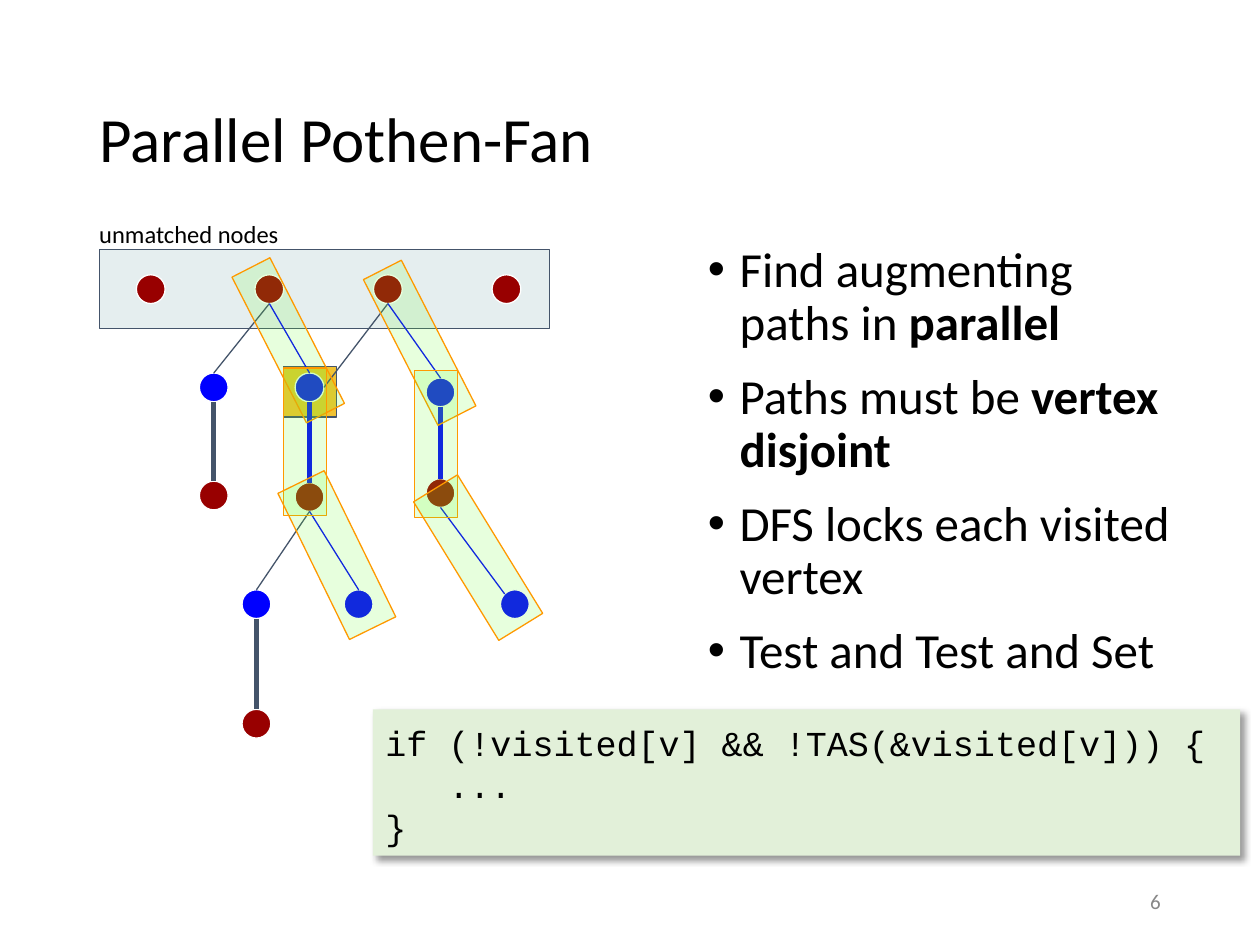
import pptx
import pptx.util
import pptx.dml.color
import pptx.enum.shapes
import pptx.enum.text
import pptx.oxml.ns
from lxml import etree

Cm, Pt = pptx.util.Cm, pptx.util.Pt
SHAPE = pptx.enum.shapes.MSO_SHAPE
ALIGN = pptx.enum.text.PP_ALIGN
ANCHOR = pptx.enum.text.MSO_ANCHOR
qn = pptx.oxml.ns.qn

# Content: lengths in cm
COLORS = {"black": "000000", "white": "FFFFFF", "slate": "44546A", "red": "980000",
          "blue": "0000FF", "gold": "F1C232", "teal": "A2C4C9", "lime": "6FFF2F",
          "orange": "FF9900", "mint": "E2F0D9", "gray": "888888"}

TITLE = "Parallel Pothen-Fan"
LABEL = "unmatched nodes"
PAGE = "6"
BULLETS = [  # (text, bold) runs
    [("Find augmenting paths in ", False), ("parallel", True)],
    [("Paths must be ", False), ("vertex disjoint", True)],
    [("DFS locks each visited vertex", False)],
    [("Test and Test and Set", False)],
]
CODE = ["if (!visited[v] && !TAS(&visited[v])) {", "\t...", "}"]

NODE_SIZE = 0.58
ROOT_X, ROOT_STEP, ROOT_Y = 3.04, 2.39, 5.83
NODES = {f"root{i}": (ROOT_X + i * ROOT_STEP, ROOT_Y, "red") for i in range(4)}
NODES.update({  # centre x, centre y, colour
    "left": (4.31, 7.81, "blue"), "shared": (6.24, 7.81, "blue"),
    "left_mate": (4.31, 9.99, "red"), "shared_mate": (6.24, 10.02, "red"),
    "end1": (7.23, 12.18, "blue"), "branch": (5.17, 12.18, "blue"),
    "branch_mate": (5.17, 14.59, "red"),
    "right": (8.88, 7.91, "blue"), "right_mate": (8.88, 9.94, "red"),
    "end2": (10.38, 12.18, "blue"),
})
SIDES = {"top": (0, -1), "bottom": (0, 1), "right": (1, 0), "top_left": (-0.71, -0.71)}
THIN, THICK = 0.75, 3
EDGES = [  # upper node, lower node, colour, width, side of the lower node
    ("root1", "left", "slate", THIN, "top"),
    ("root1", "shared", "blue", THIN, "top"),
    ("left", "left_mate", "slate", THICK, "top"),
    ("shared", "shared_mate", "blue", THICK, "top"),
    ("shared_mate", "branch", "slate", THIN, "top"),
    ("shared_mate", "end1", "blue", THIN, "top"),
    ("branch", "branch_mate", "slate", THICK, "top"),
    ("root2", "shared", "slate", THIN, "right"),
    ("root2", "right", "blue", THIN, "top"),
    ("right", "right_mate", "blue", THICK, "top"),
    ("right_mate", "end2", "blue", THIN, "top_left"),
]
PATH_BOXES = [  # left, top, width, height, rotation
    (5.38, 5.21, 0.86, 3.3, 332.9), (5.72, 7.42, 0.86, 2.97, 0),
    (6.27, 9.55, 1.04, 3.28, 333.9),
    (8.03, 5.26, 0.86, 3.3, 332.9), (8.36, 7.47, 0.86, 2.97, 0),
    (9.12, 9.6, 1.04, 3.28, 328.4),
]


def rgb(name):
    return pptx.dml.color.RGBColor.from_string(COLORS[name])


def add_box(kind, x, y, w, h, fill, line=None, alpha=None):
    s = slide.shapes.add_shape(kind, Cm(x), Cm(y), Cm(w), Cm(h))
    s.shadow.inherit = False
    s.fill.solid()
    s.fill.fore_color.rgb = rgb(fill)
    if alpha:
        color = s.fill._xPr.find(qn("a:solidFill"))[0]
        etree.SubElement(color, qn("a:alpha"), val=str(alpha * 1000))
    if line:
        s.line.color.rgb = rgb(line)
        s.line.width = Pt(0.75)
    else:
        s.line.fill.background()
    return s


def set_frame(s, anchor=ANCHOR.TOP, inset_y=0.25):
    tf = s.text_frame
    tf.word_wrap = True
    tf.vertical_anchor = anchor
    tf.margin_left = tf.margin_right = Cm(0.25)
    tf.margin_top = tf.margin_bottom = Cm(inset_y)
    return tf


def add_frame(x, y, w, h, **frame):
    return set_frame(slide.shapes.add_textbox(Cm(x), Cm(y), Cm(w), Cm(h)), **frame)


def add_paragraph(tf, runs, size, font="Calibri", color="black", align=ALIGN.LEFT):
    first = tf.paragraphs[0]
    p = tf.add_paragraph() if first.runs else first
    p.alignment = align
    for text, bold in runs:
        r = p.add_run()
        r.text = text
        r.font.size, r.font.name, r.font.bold = Pt(size), font, bold
        r.font.color.rgb = rgb(color)
    return p


def add_bullet(p):
    pPr = p._p.get_or_add_pPr()
    pPr.set("marL", str(Cm(1.27)))
    pPr.set("indent", str(-Cm(0.64)))
    color = etree.SubElement(pPr, qn("a:buClr"))
    etree.SubElement(color, qn("a:srgbClr"), val=COLORS["black"])
    etree.SubElement(pPr, qn("a:buFont"), typeface="Arial")
    etree.SubElement(pPr, qn("a:buChar"), char="•")


def add_drop_shadow(s):
    effects = s._element.spPr.find(qn("a:effectLst"))
    shadow = etree.SubElement(effects, qn("a:outerShdw"), blurRad=str(Pt(4)),
                              dist=str(Pt(3)), dir=str(45 * 60000),
                              algn="tl", rotWithShape="0")
    color = etree.SubElement(shadow, qn("a:srgbClr"), val=COLORS["black"])
    etree.SubElement(color, qn("a:alpha"), val="40000")


def node_point(node, side):
    x, y, _ = NODES[node]
    dx, dy = SIDES[side]
    return Cm(x + dx * NODE_SIZE / 2), Cm(y + dy * NODE_SIZE / 2)


prs = pptx.Presentation()
prs.slide_width, prs.slide_height = Cm(25.4), Cm(19.05)
slide = prs.slides.add_slide(prs.slide_layouts[6])

# Locked vertex and the band of unmatched nodes
add_box(SHAPE.RECTANGLE, 5.72, 7.39, 1.07, 1.02, "gold", "slate")
add_box(SHAPE.RECTANGLE, 2.01, 5.03, 9.07, 1.6, "teal", "slate", alpha=28)

# Title and label
tf = add_frame(1.75, 1.02, 21.9, 3.68, anchor=ANCHOR.MIDDLE)
add_paragraph(tf, [(TITLE, False)], 36).line_spacing = 0.9
tf = add_frame(1.75, 4.17, 4.72, 1.02)
add_paragraph(tf, [(LABEL, False)], 14)

# Search forest
for x, y, color in NODES.values():
    add_box(SHAPE.OVAL, x - NODE_SIZE / 2, y - NODE_SIZE / 2, NODE_SIZE, NODE_SIZE,
            color, "white")
for upper, lower, color, width, side in EDGES:
    edge = slide.shapes.add_connector(pptx.enum.shapes.MSO_CONNECTOR.STRAIGHT,
                                      *node_point(upper, "bottom"),
                                      *node_point(lower, side))
    edge.line.color.rgb = rgb(color)
    edge.line.width = Pt(width)
    etree.SubElement(edge._element.spPr, qn("a:effectLst"))

# Bullets
tf = add_frame(13.39, 4.7, 10.8, 12.09)
for runs in BULLETS:
    p = add_paragraph(tf, runs, 28)
    p.line_spacing = 0.9
    p.space_after = Pt(12)
    add_bullet(p)

# Code
s = add_box(SHAPE.RECTANGLE, 7.52, 14.3, 17.48, 2.95, "mint")
add_drop_shadow(s)
tf = set_frame(s)
for line in CODE:
    add_paragraph(tf, [(line, False)], 20, font="Courier New")

# Augmenting paths
for x, y, w, h, angle in PATH_BOXES:
    add_box(SHAPE.RECTANGLE, x, y, w, h, "lime", "orange", alpha=16).rotation = angle

# Slide number
tf = add_frame(17.93, 17.65, 5.72, 1.02, anchor=ANCHOR.MIDDLE, inset_y=0.13)
add_paragraph(tf, [(PAGE, False)], 12, color="gray", align=ALIGN.RIGHT)

prs.save("out.pptx")
